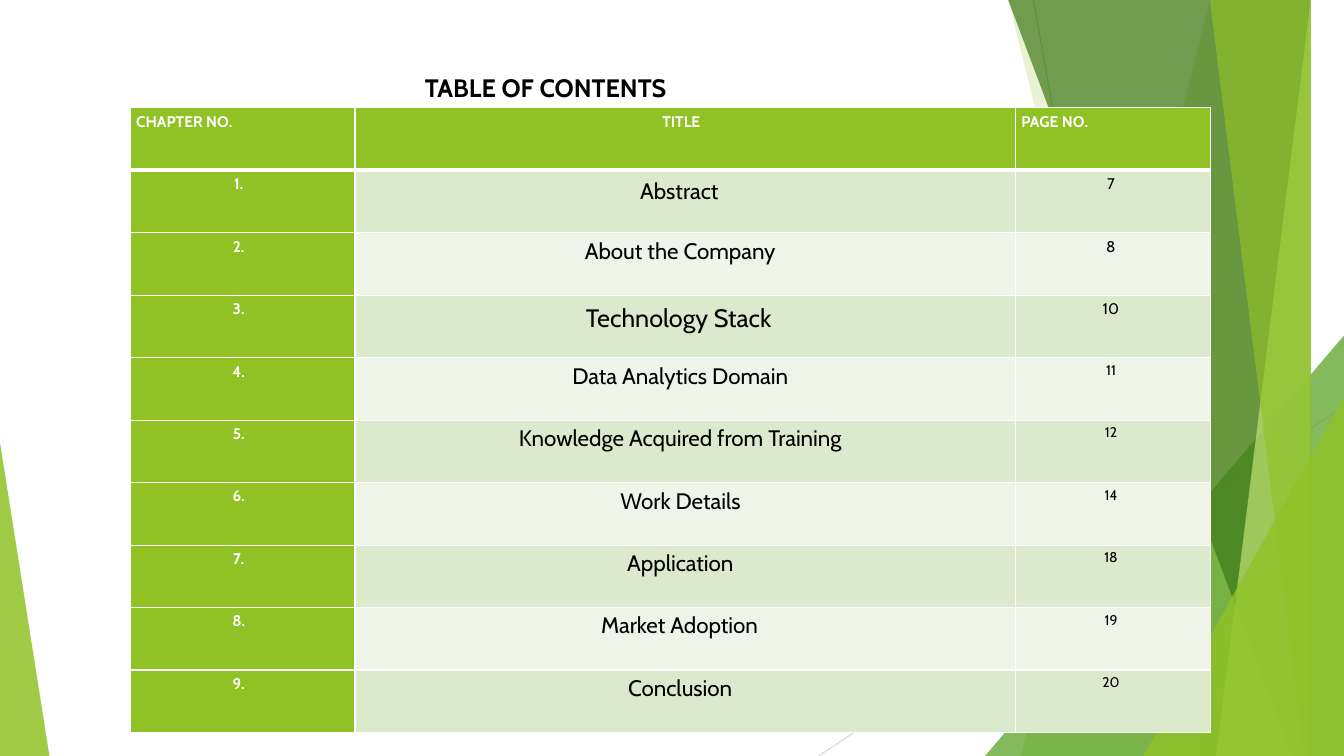
from lxml import etree
from pptx import Presentation
from pptx.dml.color import RGBColor
from pptx.enum.shapes import MSO_CONNECTOR, MSO_SHAPE
from pptx.enum.text import MSO_ANCHOR, MSO_AUTO_SIZE, PP_ALIGN
from pptx.oxml.ns import qn
from pptx.util import Inches, Pt

LEFT, CENTER = PP_ALIGN.LEFT, PP_ALIGN.CENTER
TOP, NO_FIT = MSO_ANCHOR.TOP, MSO_AUTO_SIZE.NONE
STRAIGHT, TRIANGLE = MSO_CONNECTOR.STRAIGHT, MSO_SHAPE.ISOSCELES_TRIANGLE

COLORS = {
    "white": "FFFFFF", "black": "000000", "gray": "BFBFBF", "pale gray": "D9D9D9",
    "lime": "90C226", "green": "54A021", "forest": "3F7819", "light lime": "C0E474",
    "dark band": "DBE9CD", "light band": "EEF4E8",
}
WIDTH, HEIGHT = 13.33, 7.5
BAND_TOP = -0.01

# Chapter title, its size, size of its closing space, page, page size
CHAPTERS = [
    ("Abstract", 16, 18, "7", 11),
    ("About the Company", 16, 12, "8", 11),
    ("Technology Stack", 18, 20, "10", 11),
    ("Data Analytics Domain", 16, 11, "11", 10),
    ("Knowledge Acquired from Training", 16, 11, "12", 10),
    ("Work Details", 16, 10, "14", 10),
    ("Application", 16, 11, "18", 10),
    ("Market Adoption", 16, 16, "19", 10),
    ("Conclusion", 16, 12, "20", 10),
]
HEADINGS = [("CHAPTER NO.", LEFT), ("TITLE", CENTER), ("PAGE NO.", LEFT)]
COLUMN_WIDTHS = [2.23, 6.55, 1.94]
ROW_HEIGHT = 0.62


def color(name):
    return RGBColor.from_string(COLORS[name])


def write(frame, text, size=11, ink="black", bold=False, align=CENTER,
          spacing=None, closing_size=None):
    """Fill a text frame with one line, optionally closed by a sized space."""
    para = frame.paragraphs[0]
    para.alignment = align
    if spacing:
        para.line_spacing = spacing
    parts = [(text, size)]
    if closing_size:
        parts.append((" ", closing_size))
    for words, points in parts:
        span = para.add_run()
        span.text = words
        span.font.name = "Cabin"
        span.font.size = Pt(points)
        span.font.bold = bold
        span.font.color.rgb = color(ink)


class Page:
    def __init__(self, deck):
        self.slide = deck.slides.add_slide(deck.slide_layouts[5])
        self.shapes = self.slide.shapes
        self.slide.background.fill.solid()
        self.slide.background.fill.fore_color.rgb = color("white")

    def line(self, x1, y1, x2, y2, ink):
        line = self.shapes.add_connector(
            STRAIGHT, Inches(x1), Inches(y1), Inches(x2), Inches(y2))
        line.line.color.rgb = color(ink)
        line.line.width = Pt(0.75)
        etree.SubElement(line._element.spPr, qn("a:effectLst"))

    def paint(self, shape, ink, opacity):
        shape.shadow.inherit = False
        shape.line.fill.background()
        shape.fill.solid()
        shape.fill.fore_color.rgb = color(ink)
        tone = shape._element.spPr.find(qn("a:solidFill"))[0]
        etree.SubElement(tone, qn("a:alpha"), val=str(opacity * 1000))

    def band(self, top_x, bottom_x, ink, opacity):
        """Slanted left side, running out to the right edge of the slide."""
        outline = self.shapes.build_freeform(top_x, BAND_TOP, scale=Inches(1))
        outline.add_line_segments(
            [(WIDTH, BAND_TOP), (WIDTH, HEIGHT), (bottom_x, HEIGHT)], close=True)
        self.paint(outline.convert_to_shape(), ink, opacity)

    def triangle(self, left, top, width, peak, ink, opacity):
        """Triangle standing on the bottom edge; peak is 0 (left) or 1 (right)."""
        shape = self.shapes.add_shape(
            TRIANGLE, Inches(left), Inches(top), Inches(width), Inches(HEIGHT - top))
        shape.adjustments[0] = peak
        self.paint(shape, ink, opacity)

    def title(self, text, left, top, width, height):
        box = self.shapes.title
        box.left, box.top = Inches(left), Inches(top)
        box.width, box.height = Inches(width), Inches(height)
        frame = box.text_frame
        frame.word_wrap = True
        frame.auto_size = NO_FIT
        frame.vertical_anchor = TOP
        write(frame, text, size=18, bold=True)
        # Bring the title in front of the backdrop
        self.shapes._spTree.append(box._element)

    def table(self, left, top, row_count):
        frame = self.shapes.add_table(
            row_count, len(COLUMN_WIDTHS), Inches(left), Inches(top),
            Inches(sum(COLUMN_WIDTHS)), Inches(ROW_HEIGHT * row_count))
        table = frame.table
        table.horz_banding = False
        for column, width in zip(table.columns, COLUMN_WIDTHS):
            column.width = Inches(width)
        for row in table.rows:
            row.height = Inches(ROW_HEIGHT)
        return table

    def cell(self, cell, text, fill, top_border=1, bottom_border=1, **style):
        cell.margin_left, cell.margin_right = Inches(0.06), Inches(0.07)
        cell.margin_top, cell.margin_bottom = Inches(0.03), Inches(0)
        borders = {"lnL": 1, "lnR": 1, "lnT": top_border, "lnB": bottom_border}
        for side, points in borders.items():
            edge = etree.SubElement(cell._tc.get_or_add_tcPr(), qn("a:" + side),
                                    w=str(Pt(points)))
            paint = etree.SubElement(edge, qn("a:solidFill"))
            etree.SubElement(paint, qn("a:srgbClr"), val=COLORS["white"])
        cell.fill.solid()
        cell.fill.fore_color.rgb = color(fill)
        write(cell.text_frame, text + " ", spacing=1.07, **style)


def main():
    deck = Presentation()
    deck.slide_width, deck.slide_height = Inches(WIDTH), Inches(HEIGHT)
    page = Page(deck)

    # Backdrop
    page.line(10.25, 0, 11.58, HEIGHT, "gray")
    page.line(WIDTH, 4.03, 8.12, HEIGHT, "pale gray")
    page.band(12.28, 10.04, "lime", 30)
    page.band(10.5, 11.83, "lime", 20)
    page.triangle(9.77, 3.33, 3.56, 1, "green", 72)
    page.band(10.21, 12.91, "forest", 70)
    page.band(13.03, 11.92, "light lime", 70)
    page.band(11.96, 13.18, "lime", 65)
    page.triangle(11.34, 3.93, 1.99, 1, "lime", 80)
    page.triangle(0, 4.39, 0.49, 0, "lime", 85)

    page.title("TABLE OF CONTENTS ", 0.74, 0.67, 9.4, 1.44)

    # Contents table
    table = page.table(1.29, 1.07, len(CHAPTERS) + 1)
    label = {"ink": "white", "bold": True, "closing_size": 10}
    for column, (heading, align) in enumerate(HEADINGS):
        page.cell(table.cell(0, column), heading, "lime", bottom_border=3,
                  align=align, **label)
    for row, (name, size, closing, number, number_size) in enumerate(CHAPTERS, 1):
        band = "dark band" if row % 2 else "light band"
        top = 3 if row == 1 else 1
        page.cell(table.cell(row, 0), f"{row}.", "lime", top, **label)
        page.cell(table.cell(row, 1), name, band, top, size=size, closing_size=closing)
        page.cell(table.cell(row, 2), number, band, top, size=number_size)

    deck.save("out.pptx")


if __name__ == "__main__":
    main()
